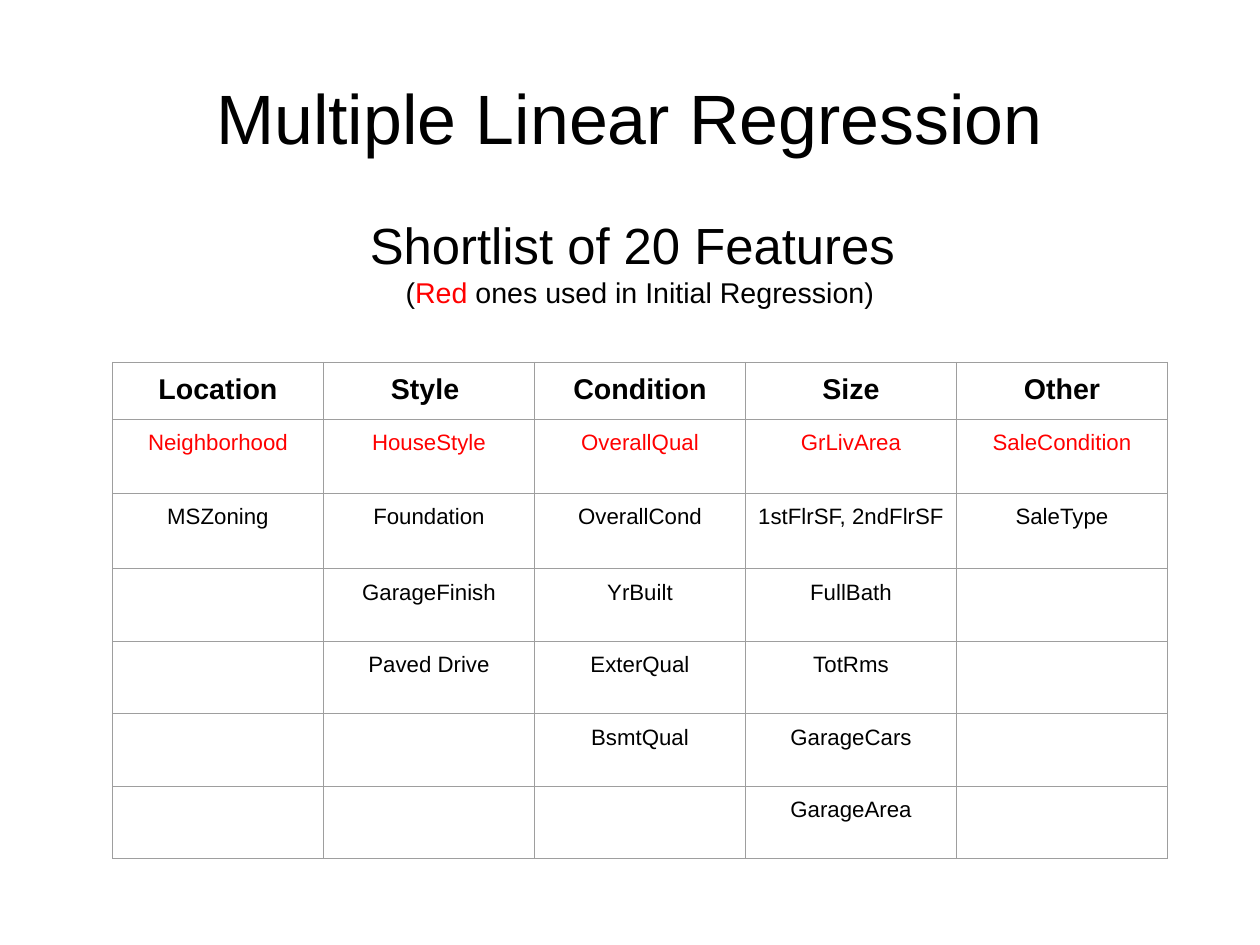
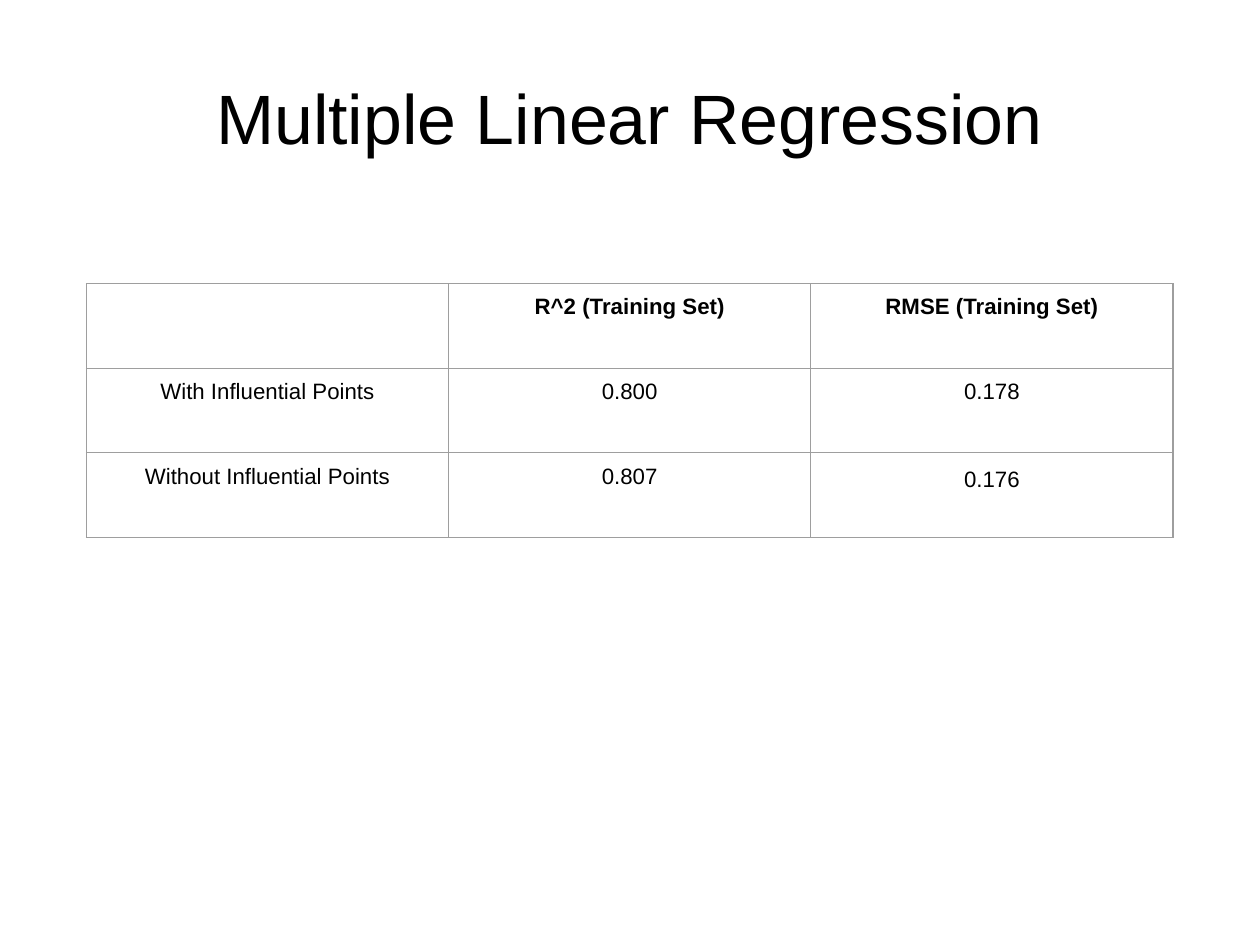
from lxml.etree import SubElement
from pptx import Presentation
from pptx.dml.color import RGBColor
from pptx.enum.text import MSO_ANCHOR, PP_ALIGN
from pptx.oxml.ns import qn
from pptx.util import Cm, Pt

FONT = "Arial"
COLORS = {"text": "000000", "accent": "FF0000", "border": "9E9E9E"}
TITLE_BOX = (1.4, 0.84, 25.2, 3.5)
PAD = 0.25

FEATURES = [
    ["Location", "Style ", "Condition", "Size", "Other"],
    ["Neighborhood", "HouseStyle", "OverallQual", "GrLivArea", "SaleCondition"],
    ["MSZoning", "Foundation", "OverallCond", "1stFlrSF, 2ndFlrSF", "SaleType"],
    ["", "GarageFinish", "YrBuilt", "FullBath", ""],
    ["", "Paved Drive", "ExterQual", "TotRms", ""],
    ["", "", "BsmtQual", "GarageCars", ""],
    ["", "", "", "GarageArea", ""],
]
SCORES = [
    ["", "R^2 (Training Set)", "RMSE (Training Set)"],
    ["With Influential Points", "0.800", "0.178"],
    ["Without Influential Points", "0.807", "0.176"],
]


def write(par, text, size=14, color="text", bold=False, spacing=None):
    """Add a run to a centred paragraph."""
    par.alignment = PP_ALIGN.CENTER
    if spacing:
        par.line_spacing = spacing
    run = par.add_run()
    run.text = text
    run.font.name = FONT
    run.font.size = Pt(size)
    run.font.bold = bold
    run.font.color.rgb = RGBColor.from_string(COLORS[color])


def add_frame(slide, box, anchor=MSO_ANCHOR.TOP):
    """Add a text box without margins and return its text frame."""
    frame = slide.shapes.add_textbox(*map(Cm, box)).text_frame
    frame.word_wrap = True
    frame.vertical_anchor = anchor
    frame.margin_left = frame.margin_right = 0
    frame.margin_top = frame.margin_bottom = 0
    return frame


def add_title(slide, text):
    frame = add_frame(slide, TITLE_BOX, MSO_ANCHOR.MIDDLE)
    write(frame.paragraphs[0], text, size=44)


def add_heading(slide, box):
    frame = add_frame(slide, box)
    write(frame.paragraphs[0], "Shortlist of 20 Features ", size=32)
    note = frame.add_paragraph()
    write(note, "(", size=18)
    write(note, "Red ", size=18, color="accent")
    write(note, "ones used in Initial Regression)", size=18)


def style_cell(cell):
    cell.margin_left = cell.margin_right = Cm(PAD)
    cell.margin_top = cell.margin_bottom = Cm(PAD)
    props = cell._tc.get_or_add_tcPr()
    for side in ("lnL", "lnR", "lnT", "lnB"):
        line = SubElement(props, qn(f"a:{side}"), w=str(Pt(0.75)))
        fill = SubElement(line, qn("a:solidFill"))
        SubElement(fill, qn("a:srgbClr"), val=COLORS["border"])
    cell.fill.background()


def add_grid(slide, left, top, width, heights, rows, formats):
    """Add a table; formats maps a row or a (row, column) to text options."""
    count = len(rows[0])
    table = slide.shapes.add_table(
        len(rows), count, Cm(left), Cm(top), Cm(width), Cm(sum(heights))
    ).table
    table.first_row = table.horz_banding = False
    for col in table.columns:
        col.width = Cm(width / count)
    for r, (height, texts) in enumerate(zip(heights, rows)):
        table.rows[r].height = Cm(height)
        for c, text in enumerate(texts):
            cell = table.cell(r, c)
            style_cell(cell)
            if text:
                style = formats.get((r, c), formats.get(r, {}))
                write(cell.text_frame.paragraphs[0], text, **style)


def add_slide(deck):
    slide = deck.slides.add_slide(deck.slide_layouts[6])
    add_title(slide, "Multiple Linear Regression")
    return slide


def build_features(deck):
    slide = add_slide(deck)
    add_heading(slide, (1.62, 4.75, 25.2, 2.2))
    heights = [1.22, 1.65, 1.68] + [1.61] * 4
    formats = {0: {"size": 18, "bold": True}, 1: {"color": "accent"}}
    add_grid(slide, 2.5, 8.05, 23.45, heights, FEATURES, formats)


def build_scores(deck):
    slide = add_slide(deck)
    formats = {0: {"bold": True}, (2, 2): {"spacing": 1.15}}
    add_grid(slide, 1.92, 6.3, 24.15, [1.88] * 3, SCORES, formats)


def main():
    deck = Presentation()
    deck.slide_width, deck.slide_height = Cm(28), Cm(21)
    build_features(deck)
    build_scores(deck)
    deck.save("out.pptx")


if __name__ == "__main__":
    main()
